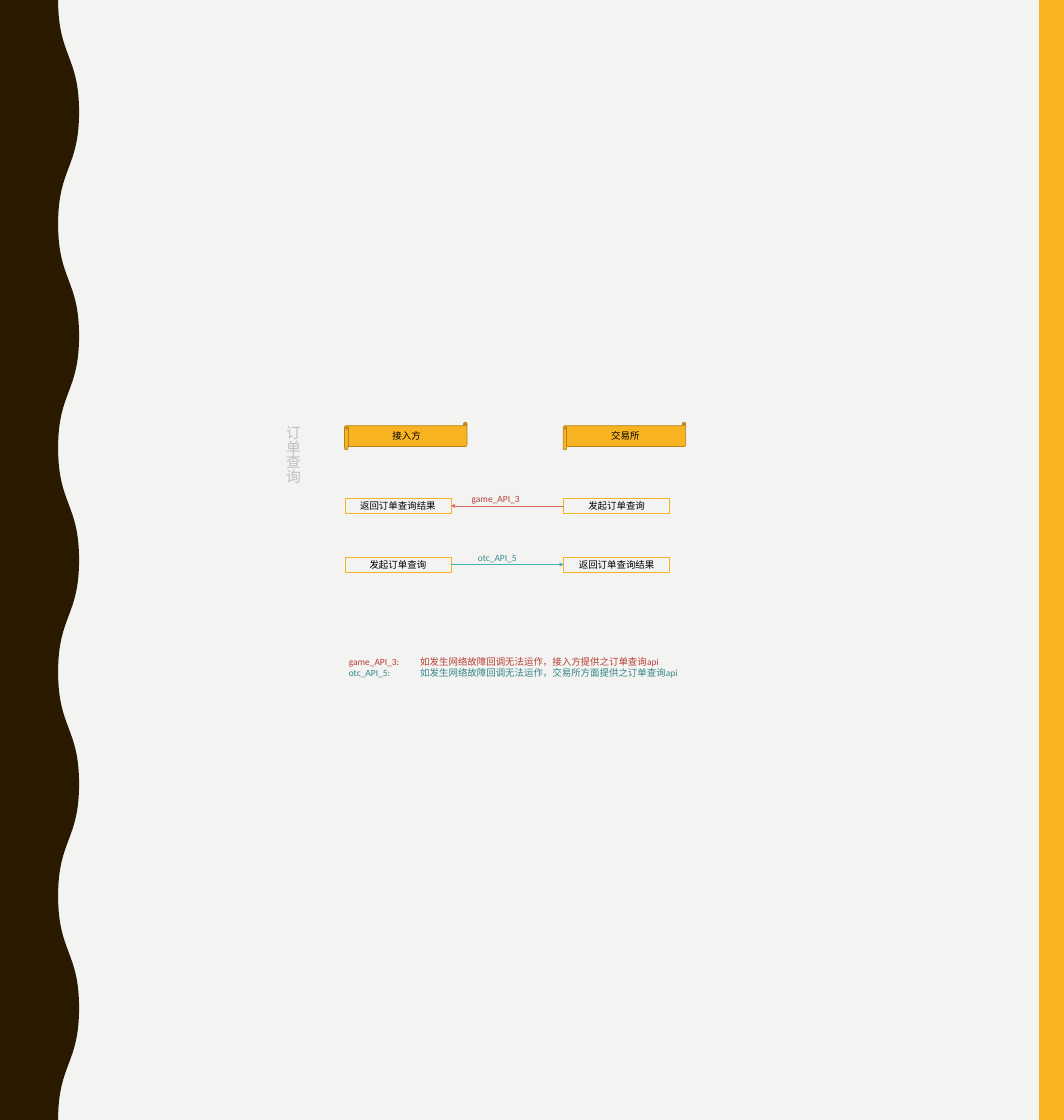
from dataclasses import dataclass

import pptx
import pptx.dml.color
import pptx.enum.shapes
import pptx.enum.text
import pptx.oxml.ns
import pptx.shapes.autoshape
import pptx.slide
import pptx.text.text
import pptx.util
from lxml import etree

RGB = pptx.dml.color.RGBColor
SHAPE = pptx.enum.shapes.MSO_SHAPE
ALIGN = pptx.enum.text.PP_ALIGN
ANCHOR = pptx.enum.text.MSO_ANCHOR
FIT = pptx.enum.text.MSO_AUTO_SIZE
qn = pptx.oxml.ns.qn

PAPER = RGB(0xF3, 0xF3, 0xF2)
AMBER = RGB(0xF8, 0xB3, 0x23)
OCHRE = RGB(0xB7, 0x84, 0x1A)
BROWN = RGB(0x2A, 0x1A, 0x00)
GREY = RGB(0xBF, 0xBF, 0xBF)
BLACK = RGB(0x00, 0x00, 0x00)
RED = RGB(0xB7, 0x3E, 0x35)
RED_LINE = RGB(0xD3, 0x6F, 0x68)
TEAL = RGB(0x38, 0x8F, 0x92)
TEAL_LINE = RGB(0x46, 0xB2, 0xB5)
TEAL_NOTE = RGB(0x35, 0x85, 0x88)

WIDTH, HEIGHT = pptx.util.Inches(22.33), pptx.util.Inches(23.5)
GRID_LEFT, GRID_TOP = pptx.util.Inches(7.24), pptx.util.Inches(10.46)
COL, ROW = pptx.util.Inches(0.459), pptx.util.Inches(0.123)
SIDE_COLS = 10
HALF_WAVES = 10
WAVE_IN, WAVE_OUT = round(WIDTH * 1.22 / 22.33), round(WIDTH * 1.66 / 22.33)

BODY = {"name": "Calibri", "size": pptx.util.Pt(14.3)}
HEADING = {"name": "Calibri", "size": pptx.util.Pt(22.3)}
FREE_TEXT = {"word_wrap": False, "auto_size": FIT.SHAPE_TO_FIT_TEXT, "vertical_anchor": ANCHOR.TOP}
NOTE_TEXT = FREE_TEXT | {"word_wrap": True}
BOX_TEXT = {"word_wrap": True, "vertical_anchor": ANCHOR.MIDDLE}


@dataclass
class Area:
    col: float
    row: float
    cols: float
    rows: float

    def emu(self) -> tuple[int, int, int, int]:
        return (round(GRID_LEFT + self.col * COL), round(GRID_TOP + self.row * ROW),
                round(self.cols * COL), round(self.rows * ROW))


@dataclass
class Call:
    row: float
    sides: tuple[str, str]
    caller: int
    label: str
    label_area: Area
    color: RGB
    line: RGB


@dataclass
class Note:
    text: str
    color: RGB


PARTIES = ["接入方", "交易所"]
REQUEST, REPLY = "发起订单查询", "返回订单查询结果"
CALLS = [
    Call(0, (REPLY, REQUEST), 1, "game_API_3", Area(5.58, -1.38, 2.68, 2.76), RED, RED_LINE),
    Call(10, (REQUEST, REPLY), 0, "otc_API_5", Area(5.86, 8.7, 2.33, 2.76), TEAL, TEAL_LINE),
]
NOTES = [
    Note("game_API_3:\t如发生网络故障回调无法运作，接入方提供之订单查询api", RED),
    Note("otc_API_5:\t如发生网络故障回调无法运作，交易所方面提供之订单查询api", TEAL_NOTE),
]


def apply(target: object, values: dict) -> None:
    for name, value in values.items():
        setattr(target, name, value)


def write(p: pptx.text.text._Paragraph, text: str, font: dict, color: RGB, align: ALIGN) -> None:
    p.alignment = align
    r = p.add_run()
    r.text = text
    apply(r.font, font)
    r.font.color.rgb = color


def paint(sp: pptx.shapes.autoshape.Shape, fill: RGB | None, line: RGB | None, width: float = 0) -> None:
    sp.shadow.inherit = False
    for part, color in ((sp.fill, fill), (sp.line.fill, line)):
        if color is None:
            part.background()
        else:
            part.solid()
            part.fore_color.rgb = color
    if line is not None:
        sp.line.width = pptx.util.Pt(width)


def add_box(s: pptx.slide.Slide, kind: SHAPE, area: Area, text: str,
            fill: RGB | None, line: RGB, width: float) -> pptx.shapes.autoshape.Shape:
    sp = s.shapes.add_shape(kind, *area.emu())
    paint(sp, fill, line, width)
    apply(sp.text_frame, BOX_TEXT)
    write(sp.text_frame.paragraphs[0], text, BODY, BLACK, ALIGN.CENTER)
    return sp


def add_text(s: pptx.slide.Slide, area: Area, frame: dict, notes: list[Note]) -> pptx.text.text.TextFrame:
    tf = s.shapes.add_textbox(*area.emu()).text_frame
    apply(tf, frame)
    for i, note in enumerate(notes):
        p = tf.add_paragraph() if i else tf.paragraphs[0]
        write(p, note.text, BODY, note.color, ALIGN.LEFT)
    return tf


def add_call(s: pptx.slide.Slide, call: Call) -> None:
    boxes = [add_box(s, SHAPE.RECTANGLE, Area(i * SIDE_COLS, call.row, 4.84, 2.52), text, None, AMBER, 0.75)
             for i, text in enumerate(call.sides)]
    arrow = s.shapes.add_connector(pptx.enum.shapes.MSO_CONNECTOR.STRAIGHT, 0, 0, 0, 0)
    facing = (3, 1)
    target = 1 - call.caller
    arrow.begin_connect(boxes[call.caller], facing[call.caller])
    arrow.end_connect(boxes[target], facing[target])
    arrow.line.color.rgb = call.line
    arrow.line.width = pptx.util.Pt(0.5)
    etree.SubElement(arrow.line._get_or_add_ln(), qn("a:tailEnd"), type="triangle")
    etree.SubElement(arrow._element.spPr, qn("a:effectLst"))
    add_text(s, call.label_area, FREE_TEXT, [Note(call.label, call.color)])


def add_wave(s: pptx.slide.Slide) -> None:
    turns = [(WAVE_OUT if i % 2 else WAVE_IN, round(HEIGHT * i / HALF_WAVES)) for i in range(HALF_WAVES + 1)]
    builder = s.shapes.build_freeform(*turns[0])
    builder.add_line_segments([*turns[1:], (0, HEIGHT), (0, 0)], close=True)
    sp = builder.convert_to_shape()
    paint(sp, BROWN, None)
    segments = list(sp._element.iter(qn("a:lnTo")))
    for segment, (x0, y0), (x1, y1) in zip(segments, turns, turns[1:]):
        middle = (y0 + y1) // 2
        curve = etree.Element(qn("a:cubicBezTo"))
        for x, y in ((x0, middle), (x1, middle), (x1, y1)):
            etree.SubElement(curve, qn("a:pt"), x=str(x), y=str(y))
        segment.getparent().replace(segment, curve)


def add_title(s: pptx.slide.Slide, text: str) -> None:
    title = s.shapes.title
    title.left, title.top, title.width, title.height = Area(-3.02, -12.9, 1.26, 10.98).emu()
    tf = title.text_frame
    apply(tf, FREE_TEXT)
    tf._txBody.bodyPr.set("vert", "eaVert")
    p = tf.paragraphs[0]
    p.line_spacing = 1.0
    p.space_before = pptx.util.Pt(0)
    write(p, text, HEADING, GREY, ALIGN.LEFT)


def add_notes(s: pptx.slide.Slide) -> None:
    tf = add_text(s, Area(-0.04, 26.42, 17.56, 4.72), NOTE_TEXT, NOTES)
    for p in tf.paragraphs:
        tabs = etree.SubElement(p._p.get_or_add_pPr(), qn("a:tabLst"))
        etree.SubElement(tabs, qn("a:tab"), pos=str(pptx.util.Inches(1.5)), algn="l")


def main() -> None:
    prs = pptx.Presentation()
    prs.slide_width, prs.slide_height = WIDTH, HEIGHT
    s = prs.slides.add_slide(prs.slide_layouts[5])
    s.background.fill.solid()
    s.background.fill.fore_color.rgb = PAPER
    band = round(WIDTH * 0.52 / 22.33)
    paint(s.shapes.add_shape(SHAPE.RECTANGLE, WIDTH - band, 0, band, HEIGHT), AMBER, None)
    add_wave(s)
    add_title(s, "订单查询")
    for i, party in enumerate(PARTIES):
        add_box(s, SHAPE.HORIZONTAL_SCROLL, Area(i * SIDE_COLS - 0.02, -13.01, 5.6, 4.72), party, AMBER, OCHRE, 1)
    for call in CALLS:
        add_call(s, call)
    add_notes(s)
    prs.save("out.pptx")


if __name__ == "__main__":
    main()
